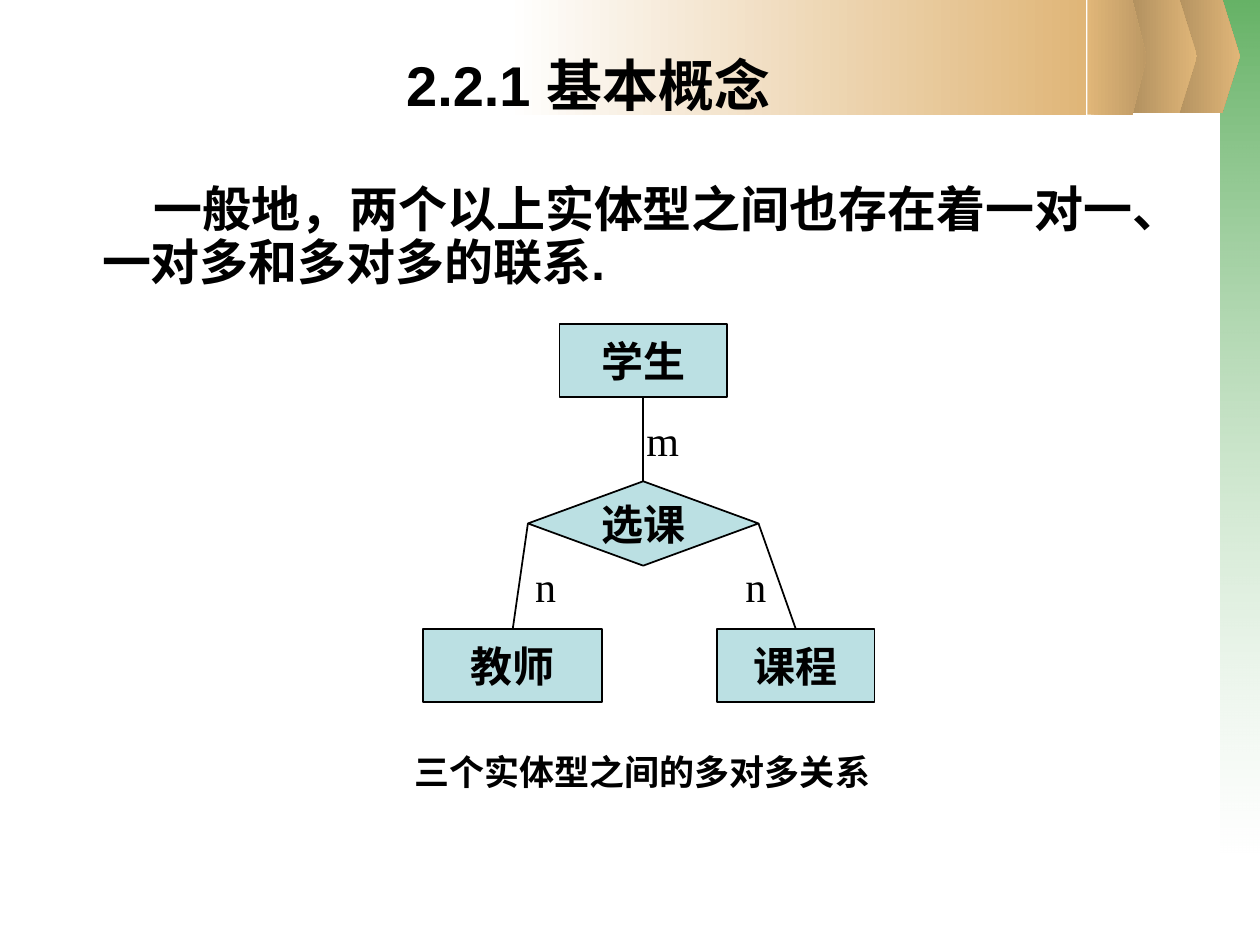
import pptx
import pptx.util
import pptx.dml.color
import pptx.enum.shapes
import pptx.enum.text
import lxml.etree

Inches, Pt = pptx.util.Inches, pptx.util.Pt
Kind = pptx.enum.shapes.MSO_SHAPE
Align = pptx.enum.text.PP_ALIGN
Anchor = pptx.enum.text.MSO_ANCHOR
WIDE, HIGH = Inches(10), Inches(7.5)
INK, PALE, SAND, DARK = "000000", "BBE0E3", "E0B678", "AB8B5C"

TITLE = ("2.2.1 基本概念", (4.2, 4.4, 85, 8.93))
BODY = ("一般地，两个以上实体型之间也存在着一对一、一对多和多对多的联系.",
        (3.3, 18.93, 91.3, 13.33))
NOTE = ("三个实体型之间的多对多关系", (31.9, 78.67, 39.2, 5.87))
NODES = {
    "学生": (Kind.RECTANGLE, (44.4, 34.27, 13.3, 7.73)),
    "教师": (Kind.RECTANGLE, (33.6, 66.53, 14.2, 7.73)),
    "课程": (Kind.RECTANGLE, (56.9, 66.53, 12.5, 7.73)),
    "选课": (Kind.DIAMOND, (41.9, 50.93, 18.3, 8.93)),
}
LINKS = [("选课", 1, "教师", 0), ("选课", 3, "课程", 0), ("学生", 2, "选课", 0)]
MARKS = [("m", (50.3, 43.2, 4.6, 6.67)), ("n", (41.5, 58.67, 3.6, 6.67)),
         ("n", (58.2, 58.67, 3.6, 6.67))]
BAND = 12.13
DECOR = [
    ("bar", (96.9, 0, 3.1, 90.27), ("339933", "FFFFFF"), 270, (75, 37)),
    ("arrow", (92.5, -0.13, 5.9, BAND), (DARK, SAND), 0, None),
    ("arrow", (89.1, -0.13, 5.9, BAND), (DARK, SAND), 0, None),
    ("bar", (40.2, 0, 46, BAND), ("FFFFFF", SAND), 0, None),
    ("arrow", (86.3, 0, 4.7, BAND), (SAND, "BD9965"), 0, None),
]
ARROW = [(0, 0), (0.76, 0), (1, 0.5), (0.76, 1), (0, 1)]


def color(code):
    return pptx.dml.color.RGBColor.from_string(code)


def place(area):
    return [round(part * side / 100) for part, side in zip(area, (WIDE, HIGH) * 2)]


def child(node, tag, **attrs):
    return lxml.etree.SubElement(node, pptx.oxml.ns.qn(tag), attrs)


def style(item, look):
    for key, value in look.items():
        setattr(item, key, value)


def write(shape, text, size, face, bold=True, align=Align.CENTER,
          anchor=Anchor.MIDDLE, wrap=False):
    frame = shape.text_frame
    frame.text = text
    style(frame, {"word_wrap": wrap, "vertical_anchor": anchor,
                  "auto_size": pptx.enum.text.MSO_AUTO_SIZE.NONE})
    para = frame.paragraphs[0]
    style(para, {"alignment": align, "space_before": Pt(0)})
    font = para.runs[0].font
    style(font, {"size": Pt(size), "name": face, "bold": bold})
    font.color.rgb = color(INK)
    return para


def outline(item):
    item.line.color.rgb = color(INK)
    item.line.width = Pt(1)


def decorate(shapes, kind, area, shades, angle, alphas):
    x, y, w, h = place(area)
    if kind == "bar":
        shape = shapes.add_shape(Kind.RECTANGLE, x, y, w, h)
    else:
        dots = [(x + round(a * w), y + round(b * h)) for a, b in ARROW]
        pen = shapes.build_freeform(*dots[0])
        pen.add_line_segments(dots[1:], close=True)
        shape = pen.convert_to_shape()
    shape.shadow.inherit = False
    shape.line.fill.background()
    shape.fill.gradient()
    shape.fill.gradient_angle = angle
    for stop, shade in zip(shape.fill.gradient_stops, shades):
        stop.color.rgb = color(shade)
    if alphas:
        tints = shape._element.spPr.iter(pptx.oxml.ns.qn("a:srgbClr"))
        for tint, alpha in zip(tints, alphas):
            child(tint, "a:alpha", val=str(alpha * 1000))


def hold(shapes, holder, area):
    style(holder, dict(zip(("left", "top", "width", "height"), place(area))))
    shapes._spTree.append(holder._element)
    return holder


def label(shapes, text, area, size, **look):
    write(shapes.add_textbox(*place(area)), text, size, "Times New Roman", **look)


def main():
    deck = pptx.Presentation()
    style(deck, {"slide_width": WIDE, "slide_height": HIGH})
    slide = deck.slides.add_slide(deck.slide_layouts[1])
    shapes = slide.shapes
    for part in DECOR:
        decorate(shapes, *part)

    text, area = TITLE
    write(hold(shapes, shapes.title, area), text, 32, "Arial", wrap=True)
    text, area = BODY
    para = write(hold(shapes, slide.placeholders[1], area), text, 28, "Arial",
                 align=Align.LEFT, anchor=Anchor.TOP, wrap=True)
    para.line_spacing = 0.9
    props = para._p.get_or_add_pPr()
    props.set("marL", str(Inches(0.38)))
    props.set("indent", str(Inches(0.41)))
    child(props, "a:buNone")

    nodes = {}
    for text, (kind, area) in NODES.items():
        node = nodes[text] = shapes.add_shape(kind, *place(area))
        node.shadow.inherit = False
        node.fill.solid()
        node.fill.fore_color.rgb = color(PALE)
        outline(node)
        write(node, text, 24, "Times New Roman")
    for start, out, end, into in LINKS:
        link = shapes.add_connector(pptx.enum.shapes.MSO_CONNECTOR.STRAIGHT, 0, 0, 0, 0)
        link.begin_connect(nodes[start], out)
        link.end_connect(nodes[end], into)
        outline(link)
        child(link._element.spPr, "a:effectLst")
    for text, area in MARKS:
        label(shapes, text, area, 24, bold=False)
    label(shapes, *NOTE, 20, align=Align.LEFT, wrap=True)
    deck.save("out.pptx")


if __name__ == "__main__":
    main()
